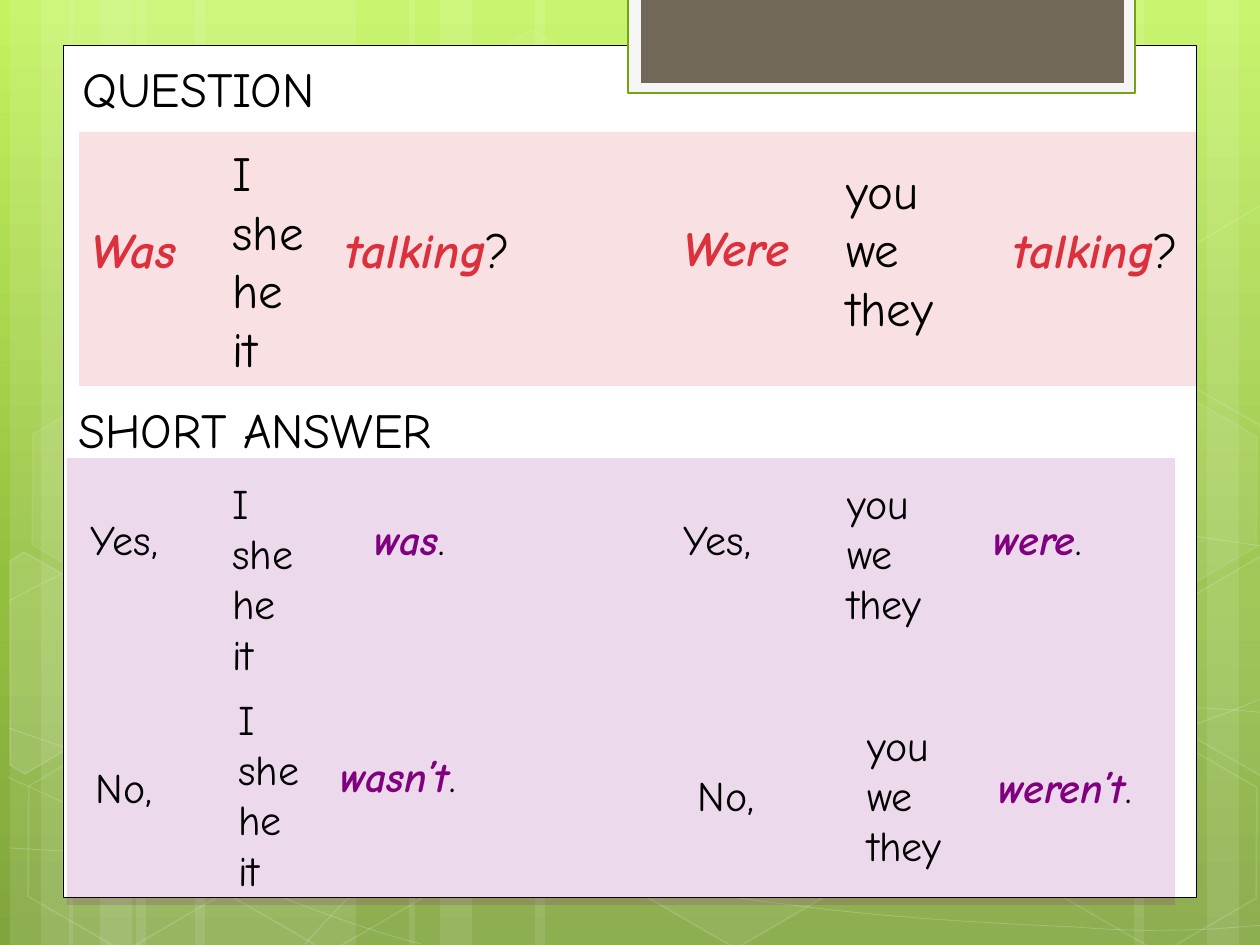
"""Build a grammar slide with past continuous questions and short answers."""
from copy import deepcopy

from lxml.etree import SubElement
from pptx import Presentation
from pptx.dml.color import RGBColor
from pptx.enum.shapes import MSO_SHAPE
from pptx.oxml.ns import qn
from pptx.util import Inches, Pt

SCALE = Inches(10) / 1260
FONT = "Comic Neue"
COLORS = {
    "white": "FFFFFF", "black": "000000", "red": "DC303D", "purple": "800080",
    "green": "74A510", "frame": "F5F5F5", "brown": "71685A",
}
SKY = [(0, "C3F35F"), (0.62, "93BF3F"), (1, "81A53E")]


def paint(shape, fill=None, opacity=100, line=None, width=1, line_opacity=100):
    shape.shadow.inherit = False
    for target, color, alpha, query in (
        (shape.fill, fill, opacity, "a:solidFill/a:srgbClr"),
        (shape.line.fill, line, line_opacity, "a:ln/a:solidFill/a:srgbClr"),
    ):
        if color is None:
            target.background()
            continue
        target.solid()
        target.fore_color.rgb = RGBColor.from_string(COLORS[color])
        if alpha < 100:
            element = shape._element.spPr.xpath(query)[0]
            SubElement(element, qn("a:alpha")).set("val", str(alpha * 1000))
    if line:
        shape.line.width = Pt(width)


def write(slide, box, size, lines, accent=None, ending=""):
    text_box = slide.shapes.add_textbox(*[round(value * SCALE) for value in box])
    frame = text_box.text_frame
    frame.word_wrap = True
    for index, line in enumerate(lines):
        paragraph = frame.paragraphs[0] if index == 0 else frame.add_paragraph()
        paragraph.font.name = FONT
        paragraph.font.size = Pt(size)
        for words, color in ((line, accent), (ending, None)):
            if words:
                run = paragraph.add_run()
                run.text = words
                run.font.color.rgb = RGBColor.from_string(COLORS[color or "black"])
                run.font.bold = run.font.italic = color is not None


presentation = Presentation()
presentation.slide_width = round(1260 * SCALE)
presentation.slide_height = round(945 * SCALE)
slide = presentation.slides.add_slide(presentation.slide_layouts[6])

background = slide.background.fill
background.gradient()
background.gradient_angle = 270
stop_list = slide._element.xpath(".//a:gsLst")[0]
stop_list.append(deepcopy(stop_list[0]))
for stop, (position, color) in zip(background.gradient_stops, SKY):
    stop.position = position
    stop.color.rgb = RGBColor.from_string(color)

for edge, direction, wide in ((10, 1, 220), (69, 1, 220), (1270, -1, 220), (409, 1, 389)):
    for offset, width in ((126, wide), (0, 63), (31, 105)):
        left = edge + offset if direction == 1 else edge - offset - width
        band = slide.shapes.add_shape(
            MSO_SHAPE.RECTANGLE, *[round(value * SCALE) for value in (left, 0, width, 945)])
        paint(band, "white", 10)

curves = [
    [(9, 848), (77, 852), (145, 856), (239, 854), (334, 853), (451, 851), (577, 838),
     (703, 825), (882, 801), (998, 777), (1113, 753), (1231, 716), (1269, 694)],
    [(9, 601), (45, 581), (82, 562), (152, 543), (224, 524), (326, 496), (437, 488),
     (549, 479), (685, 478), (824, 488), (963, 498), (1193, 537), (1269, 547)],
    [(8, 777), (160, 847), (311, 916), (421, 944)],
    [(9, 728), (48, 742), (88, 756), (161, 776), (234, 795), (344, 827), (450, 848),
     (554, 869), (687, 892), (791, 905), (896, 919), (1008, 924), (1075, 927),
     (1140, 932), (1158, 930), (1191, 930), (1223, 929), (1246, 926), (1269, 925)],
    [(305, 944), (328, 919), (350, 893), (381, 871), (411, 848), (454, 823), (489, 805),
     (524, 788), (546, 780), (592, 767), (638, 755), (722, 737), (766, 728),
     (811, 719), (818, 719), (857, 717), (896, 713), (958, 709), (1000, 708),
     (1045, 707), (1116, 708), (1116, 708), (1144, 708), (1173, 708), (1201, 708),
     (1223, 709), (1245, 711), (1256, 712), (1268, 713), (1264, 712), (1268, 713)],
]
for curve in curves:
    builder = slide.shapes.build_freeform(*curve[0], scale=SCALE)
    builder.add_line_segments(curve[1:], close=False)
    wave = builder.convert_to_shape()
    segments = wave._element.xpath(".//a:lnTo")
    for start in range(0, len(segments), 3):
        bezier = SubElement(segments[start].getparent(), qn("a:cubicBezTo"))
        for segment in segments[start:start + 3]:
            bezier.append(segment[0])
            segment.getparent().remove(segment)
    paint(wave, line="white", width=0.5, line_opacity=20)

hexagons = [
    (421, 45, 4, 8), (626, 742, 6, 12), (14, 745, 0, 12), (18, 393, 7, 8),
    (219, 746, 0, 12), (1051, 747, 0, 12), (1051, 396, 7, 8),
]
for left, top, opacity, line_opacity in hexagons:
    hexagon = slide.shapes.add_shape(
        MSO_SHAPE.HEXAGON, *[round(value * SCALE) for value in (left, top, 220, 192)])
    hexagon.adjustments[0] = 0.285
    hexagon.rotation = 30
    paint(hexagon, "white" if opacity else None, opacity, "white", 1, line_opacity)

cut_hexagons = [
    (10, [(10, 561), (24, 552), (121, 607), (120, 718), (25, 774), (10, 765)]),
    (4, [(1167, 611), (1261, 556), (1271, 562), (1271, 772), (1263, 777), (1167, 722)]),
    (0, [(1167, 261), (1261, 205), (1273, 212), (1271, 422), (1263, 427), (1167, 372)]),
]
for opacity, corners in cut_hexagons:
    builder = slide.shapes.build_freeform(*corners[0], scale=SCALE)
    builder.add_line_segments(corners[1:], close=True)
    paint(builder.convert_to_shape(), "white" if opacity else None, opacity, "white", 1, 12)

panels = [
    ((63, 45, 1134, 853), "white", 100, "black", 0.5),
    ((628, -2, 507, 95), "frame", 100, "green", 1.25),
    ((641, -2, 483, 85), "brown", 100, None, 1),
    ((67, 458, 1108, 447), "purple", 15, None, 1),
    ((79, 132, 1117, 254), "red", 15, None, 1),
]
for box, fill, opacity, line, width in panels:
    panel = slide.shapes.add_shape(
        MSO_SHAPE.RECTANGLE, *[round(value * SCALE) for value in box])
    paint(panel, fill, opacity, line, width)

singular = ["I", "she", "he", "it"]
plural = ["you", "we", "they"]

texts = [
    ((70, 52, 349, 72), 28, ["QUESTION"]),
    ((66, 393, 541, 72), 28, ["SHORT ANSWER"]),
    ((79, 213, 145, 72), 28, ["Was"], "red"),
    ((220, 136, 118, 251), 28, singular),
    ((333, 213, 237, 72), 28, ["talking"], "red", "?"),
    ((671, 211, 175, 72), 28, ["Were"], "red"),
    ((834, 154, 146, 190), 28, plural),
    ((1001, 213, 237, 72), 28, ["talking"], "red", "?"),
    ((78, 507, 139, 63), 24, ["Yes,"]),
    ((220, 471, 142, 217), 24, singular),
    ((362, 507, 139, 63), 24, ["was"], "purple", "."),
    ((671, 507, 139, 63), 24, ["Yes,"]),
    ((835, 471, 122, 165), 24, plural),
    ((981, 507, 170, 63), 24, ["were"], "purple", "."),
    ((83, 755, 118, 63), 24, ["No,"]),
    ((226, 687, 102, 217), 24, singular),
    ((328, 744, 207, 63), 24, ["wasn’t"], "purple", "."),
    ((685, 763, 118, 63), 24, ["No,"]),
    ((855, 713, 161, 165), 24, plural),
    ((986, 755, 237, 63), 24, ["weren’t"], "purple", "."),
]
for text in texts:
    write(slide, *text)

presentation.save("out.pptx")
